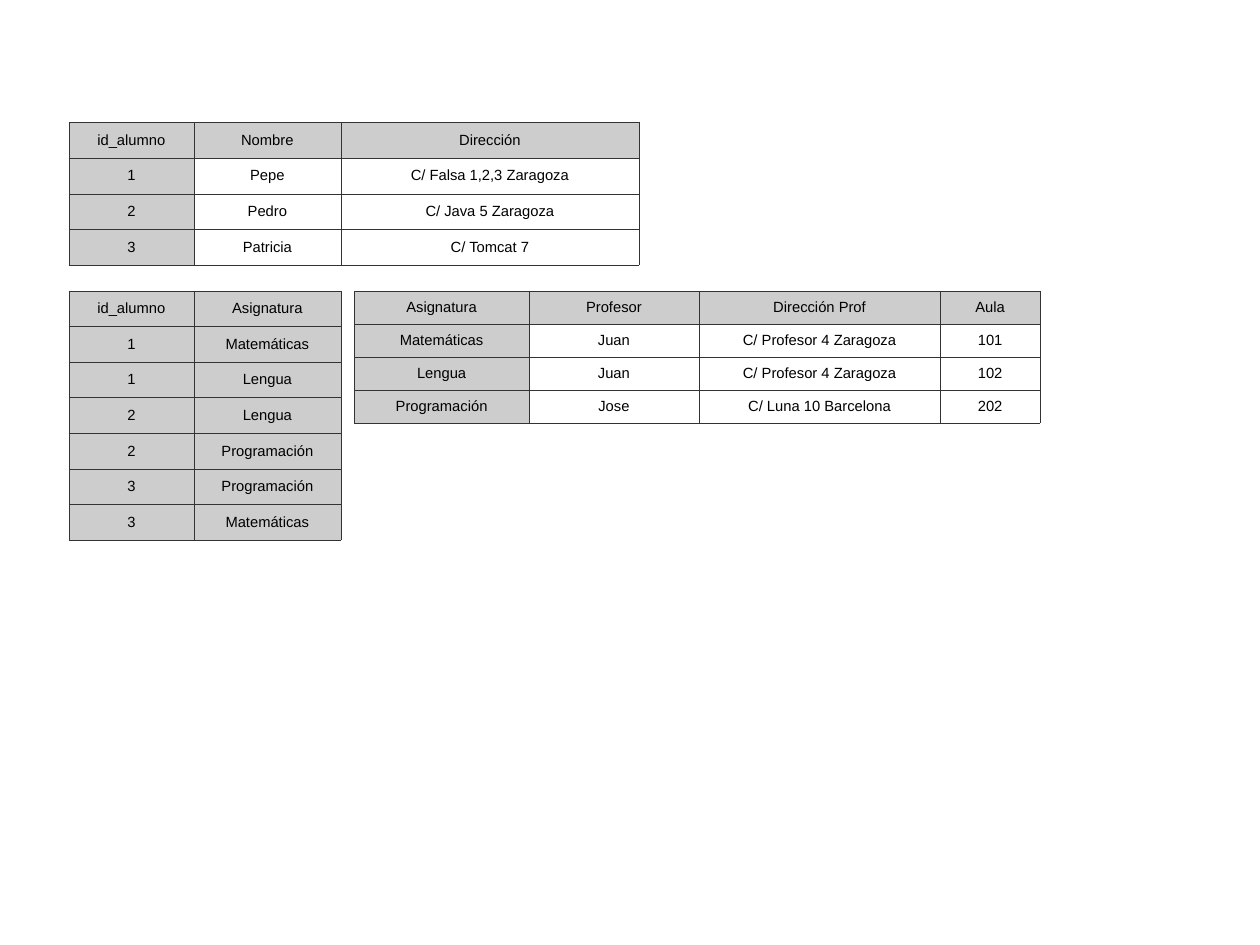
import pptx
import pptx.dml.color
import pptx.enum.text
import pptx.oxml
import pptx.oxml.ns
import pptx.util

Cm = pptx.util.Cm
Pt = pptx.util.Pt

KEY_FILL = "CDCDCD"
BORDER = "333333"
TEXT = "000000"

LEFT = 1.98
LOWER_TOP = 8.33

ALUMNOS = [
    ("id_alumno", "Nombre", "Dirección"),
    ("1", "Pepe", "C/ Falsa 1,2,3 Zaragoza"),
    ("2", "Pedro", "C/ Java 5 Zaragoza"),
    ("3", "Patricia", "C/ Tomcat 7"),
]
MATRICULAS = [
    ("id_alumno", "Asignatura"),
    ("1", "Matemáticas"),
    ("1", "Lengua"),
    ("2", "Lengua"),
    ("2", "Programación"),
    ("3", "Programación"),
    ("3", "Matemáticas"),
]
ASIGNATURAS = [
    ("Asignatura", "Profesor", "Dirección Prof", "Aula"),
    ("Matemáticas", "Juan", "C/ Profesor 4 Zaragoza", "101"),
    ("Lengua", "Juan", "C/ Profesor 4 Zaragoza", "102"),
    ("Programación", "Jose", "C/ Luna 10 Barcelona", "202"),
]


def rgb(color):
    return pptx.dml.color.RGBColor.from_string(color)


def set_borders(cell, color, width):
    """Draw all four edges; call before filling, as the schema puts lines first."""
    tc_pr = cell._tc.get_or_add_tcPr()
    for side in ("lnL", "lnR", "lnT", "lnB"):
        tc_pr.append(pptx.oxml.parse_xml(
            f'<a:{side} {pptx.oxml.ns.nsdecls("a")} w="{int(width)}">'
            f'<a:solidFill><a:srgbClr val="{color}"/></a:solidFill></a:{side}>'))


def fill_cell(cell, text, is_key):
    set_borders(cell, BORDER, Pt(0.11))
    if is_key:
        cell.fill.solid()
        cell.fill.fore_color.rgb = rgb(KEY_FILL)
    else:
        cell.fill.background()
    cell.margin_left = cell.margin_right = Cm(0.15)
    cell.margin_top = cell.margin_bottom = Cm(0.13)
    cell.vertical_anchor = pptx.enum.text.MSO_ANCHOR.MIDDLE
    cell.text = text
    p = cell.text_frame.paragraphs[0]
    p.alignment = pptx.enum.text.PP_ALIGN.CENTER
    p.font.name = "Arial"
    p.font.size = Pt(12)
    p.font.color.rgb = rgb(TEXT)


def add_data_table(slide, left, top, height, widths, rows, key_columns=1):
    """Shade the header row and the first key_columns columns."""
    table = slide.shapes.add_table(
        len(rows), len(widths), Cm(left), Cm(top), Cm(sum(widths)), Cm(height)).table
    table.first_row = False
    table.horz_banding = False
    for column, width in zip(table.columns, widths):
        column.width = Cm(width)
    for i, row in enumerate(rows):
        for j, text in enumerate(row):
            fill_cell(table.cell(i, j), text, i == 0 or j < key_columns)


def main():
    prs = pptx.Presentation()
    prs.slide_width = Cm(36.12)
    prs.slide_height = Cm(27.08)
    slide = prs.slides.add_slide(prs.slide_layouts[6])
    add_data_table(slide, LEFT, 3.5, 4.1, (3.57, 4.23, 8.53), ALUMNOS)
    add_data_table(slide, LEFT, LOWER_TOP, 7.14, (3.57, 4.23), MATRICULAS, key_columns=2)
    add_data_table(slide, 10.16, LOWER_TOP, 3.78, (5, 4.88, 6.91, 2.87), ASIGNATURAS)
    prs.save("out.pptx")


if __name__ == "__main__":
    main()
